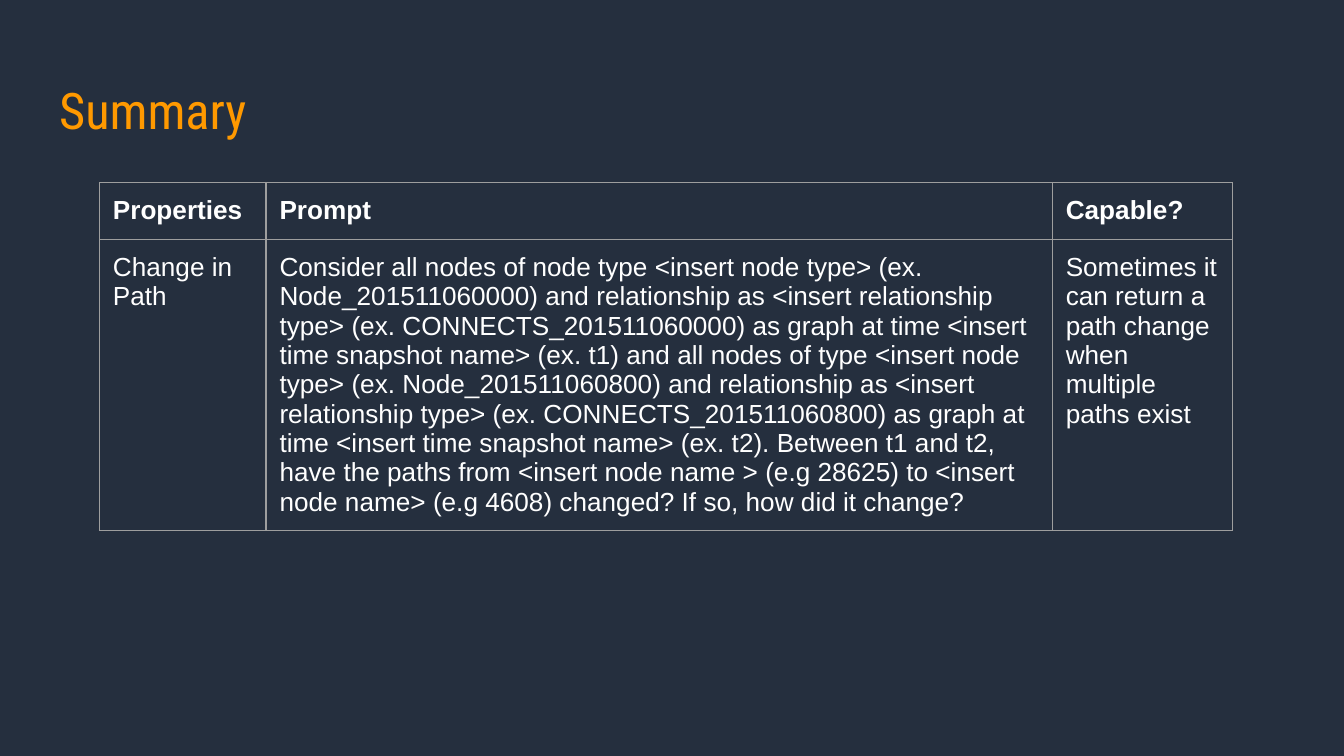
from lxml import etree
from pptx import Presentation
from pptx.dml.color import RGBColor
from pptx.enum import text
from pptx.oxml import ns
from pptx.util import Inches, Pt

HUES = {"back": "252F3E", "title": "FF9900", "text": "FFFFFF", "rule": "9E9E9E"}
TITLE = "Summary"
ROWS = [
    ("Properties", "Prompt", "Capable?"),
    (
        "Change in Path",
        "Consider all nodes of node type <insert node type> (ex. Node_201511060000) "
        "and relationship as <insert relationship type> (ex. CONNECTS_201511060000) "
        "as graph at time <insert time snapshot name> (ex. t1) and all nodes of type "
        "<insert node type> (ex. Node_201511060800) and relationship as <insert "
        "relationship type> (ex. CONNECTS_201511060800) as graph at time <insert time "
        "snapshot name> (ex. t2). Between t1 and t2, have the paths from <insert node "
        "name > (e.g 28625) to <insert node name> (e.g 4608) changed? If so, how did "
        "it change?",
        "Sometimes it can return a path change when multiple paths exist",
    ),
]
WIDE = 10
WIDTHS = [1.24, 5.85, 1.34]
HIGH = 0.42
PAD = Inches(0.1)


def hue(name):
    return RGBColor.from_string(HUES[name])


def write(frame, words, face, size, tint, bold=False):
    para = frame.paragraphs[0]
    para.alignment = text.PP_ALIGN.LEFT
    run = para.add_run()
    run.text = words
    font = run.font
    font.name, font.size, font.bold = face, Pt(size), bold
    font.color.rgb = hue(tint)


def pad(box):
    box.margin_left = box.margin_right = box.margin_top = box.margin_bottom = PAD
    box.vertical_anchor = text.MSO_ANCHOR.TOP


def rule(cell):
    """Draw a thin line on all four sides of a cell."""
    props = cell._tc.get_or_add_tcPr()
    for spot, side in enumerate("LRTB"):
        line = etree.Element(ns.qn("a:ln" + side), w=str(Pt(0.75)))
        fill = etree.SubElement(line, ns.qn("a:solidFill"))
        etree.SubElement(fill, ns.qn("a:srgbClr"), val=HUES["rule"])
        props.insert(spot, line)


deck = Presentation()
deck.slide_width, deck.slide_height = Inches(WIDE), Inches(WIDE * 9 / 16)
slide = deck.slides.add_slide(deck.slide_layouts[5])
slide.background.fill.solid()
slide.background.fill.fore_color.rgb = hue("back")

title = slide.shapes.title
title.left, title.top = Inches(0.34), Inches(0.49)
title.width, title.height = Inches(9.32), Inches(0.63)
pad(title.text_frame)
title.text_frame.auto_size = text.MSO_AUTO_SIZE.NONE
write(title.text_frame, TITLE, "Roboto Condensed", 27, "title")

table = slide.shapes.add_table(
    len(ROWS), len(WIDTHS), Inches(0.74), Inches(1.36),
    Inches(sum(WIDTHS)), Inches(HIGH * len(ROWS)),
).table
table.horz_banding = False
for col, wide in zip(table.columns, WIDTHS):
    col.width = Inches(wide)
for r, row in enumerate(ROWS):
    table.rows[r].height = Inches(HIGH)
    for c, words in enumerate(row):
        cell = table.cell(r, c)
        cell.fill.background()
        pad(cell)
        rule(cell)
        write(cell.text_frame, words, "Arial", 14, "text", bold=r == 0)

deck.save("out.pptx")
